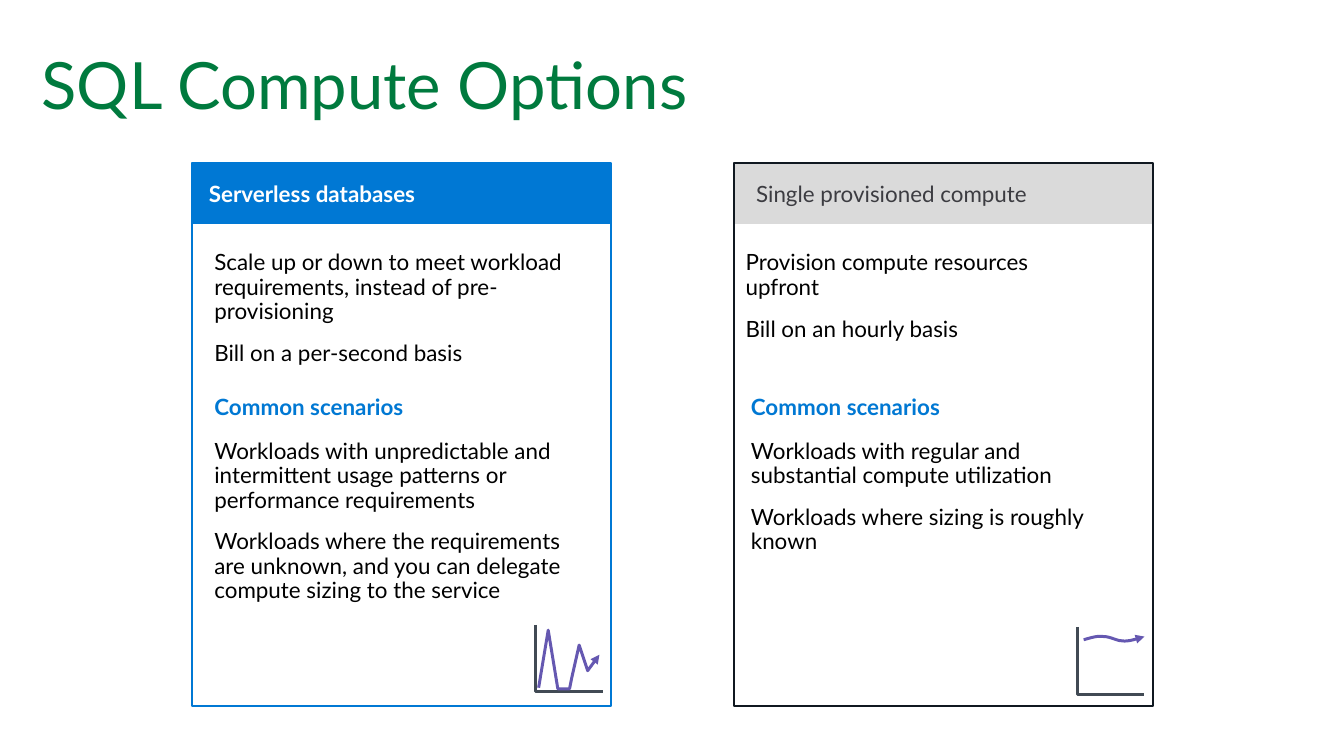
from lxml.etree import SubElement
from pptx import Presentation
from pptx.dml.color import RGBColor
from pptx.enum.shapes import MSO_SHAPE
from pptx.enum.text import MSO_ANCHOR, PP_ALIGN
from pptx.oxml.ns import qn
from pptx.util import Emu, Pt

EMU_PER_PX = 9144  # 100 px to the inch
FONT = "Lato"
COLORS = {
    "title": "007A3E", "text": "000000", "accent": "0078D3",
    "blue": "0078D4", "white": "FFFFFF", "gray": "DADADA",
    "gray_text": "3C3C41", "navy": "101820", "axis": "414A54",
    "usage": "6558B1",
}

SERVERLESS = {
    "heading": "Serverless databases", "heading_bold": True,
    "heading_color": "white", "heading_fill": "blue", "border": "blue",
    "heading_box": (6, 378), "feature_box": (21, 347),
    "scenario_box": (21, 347), "chart_top": 433,
    "features": [
        "Scale up or down to meet workload requirements, instead of pre-provisioning",
        "Bill on a per-second basis",
    ],
    "scenarios": [
        "Workloads with unpredictable and intermittent usage patterns or performance requirements",
        "Workloads where the requirements are unknown, and you can delegate compute sizing to the service",
    ],
    "usage": [(3, 59), (12, 5), (21, 60), (32, 60), (34, 50), (41, 19),
              (49, 43), (60, 28)],
}


def bezier_points(start, curves, steps=8):
    """Sample a chain of cubic curves, each given as two controls and an end."""
    points = [start]
    for control_1, control_2, end in curves:
        corners = list(zip(points[-1], control_1, control_2, end))
        for step in range(1, steps + 1):
            t = step / steps
            u = 1 - t
            points.append(tuple(
                u**3 * a + 3 * u**2 * t * b + 3 * u * t**2 * c + t**3 * d
                for a, b, c, d in corners))
    return points


PROVISIONED = {
    "heading": "Single provisioned compute", "heading_bold": False,
    "heading_color": "gray_text", "heading_fill": "gray", "border": "navy",
    "heading_box": (11, 371), "feature_box": (11, 279),
    "scenario_box": (16, 333), "chart_top": 435,
    "features": ["Provision compute resources upfront", "Bill on an hourly basis"],
    "scenarios": [
        "Workloads with regular and substantial compute utilization",
        "Workloads where sizing is roughly known",
    ],
    "usage": bezier_points((6, 12), [
        ((13, 10), (19, 8), (25, 9)),
        ((31, 9), (37, 13), (42, 13)),
        ((48, 14), (56, 11), (63, 9)),
    ]),
}


def px(length):
    return Emu(round(length * EMU_PER_PX))


def rgb(name):
    return RGBColor.from_string(COLORS[name])


def set_font(paragraph, size, color, bold=False):
    font = paragraph.font
    font.name, font.size, font.bold = FONT, Pt(size), bold
    font.color.rgb = rgb(color)


def clear_margins(frame):
    frame.margin_left = frame.margin_top = 0
    frame.margin_right = frame.margin_bottom = 0


def add_text(slide, box, lines, color, bold=False, inset=False):
    frame = slide.shapes.add_textbox(*map(px, box)).text_frame
    frame.word_wrap = True
    if not inset:
        clear_margins(frame)
    for index, line in enumerate(lines):
        paragraph = frame.paragraphs[0] if index == 0 else frame.add_paragraph()
        paragraph.text = line
        if not inset:
            paragraph.line_spacing = 0.9
            paragraph.space_after = Pt(12)
        set_font(paragraph, 15.1, color, bold)


def add_rectangle(slide, box, fill=None, line=None):
    rectangle = slide.shapes.add_shape(MSO_SHAPE.RECTANGLE, *map(px, box))
    rectangle.shadow.inherit = False
    if fill:
        rectangle.fill.solid()
        rectangle.fill.fore_color.rgb = rgb(fill)
    else:
        rectangle.fill.background()
    if line:
        rectangle.line.color.rgb = rgb(line)
        rectangle.line.width = Pt(1)
    else:
        rectangle.line.fill.background()


def add_open_path(slide, left, top, points, color, arrow=False):
    start, *rest = [(px(left + x), px(top + y)) for x, y in points]
    builder = slide.shapes.build_freeform(*start)
    builder.add_line_segments(rest, close=False)
    path_shape = builder.convert_to_shape()
    path_shape.shadow.inherit = False
    path_shape.fill.background()
    path_shape.line.color.rgb = rgb(color)
    path_shape.line.width = Pt(2)
    if arrow:
        SubElement(path_shape.line._get_or_add_ln(), qn("a:tailEnd"), type="triangle")


def add_usage_chart(slide, left, top, usage):
    add_open_path(slide, left, top, [(0, 0), (0, 63), (63, 63)], "axis")
    add_open_path(slide, left, top, usage, "usage", arrow=True)


def add_option_card(slide, box, option):
    left, top, width, height = box

    def column(key, offset, part_height):
        indent, part_width = option[key]
        return left + indent, top + offset, part_width, part_height

    add_rectangle(slide, (left, top, width, 57), fill=option["heading_fill"])
    add_rectangle(slide, box, line=option["border"])
    add_text(slide, column("heading_box", 11, 36), [option["heading"]],
             option["heading_color"], option["heading_bold"], inset=True)
    add_text(slide, column("feature_box", 83, 108), option["features"], "text")
    add_text(slide, column("scenario_box", 219, 23), ["Common scenarios"],
             "accent", bold=True)
    add_text(slide, column("scenario_box", 260, 154), option["scenarios"], "text")
    add_usage_chart(slide, left + 322, top + option["chart_top"], option["usage"])


def set_title(slide, box, text):
    title = slide.shapes.title
    title.left, title.top, title.width, title.height = map(px, box)
    frame = title.text_frame
    frame.text = text
    frame.word_wrap = True
    frame.vertical_anchor = MSO_ANCHOR.MIDDLE
    clear_margins(frame)
    frame.paragraphs[0].alignment = PP_ALIGN.LEFT
    set_font(frame.paragraphs[0], 44, "title")


def main():
    presentation = Presentation()
    presentation.slide_width, presentation.slide_height = px(1260), px(709)
    slide = presentation.slides.add_slide(presentation.slide_layouts[5])
    set_title(slide, (39, 39, 1181, 79), "SQL Compute Options")
    for left, option in ((180, SERVERLESS), (688, PROVISIONED)):
        add_option_card(slide, (left, 153, 393, 509), option)
    presentation.save("out.pptx")


if __name__ == "__main__":
    main()
